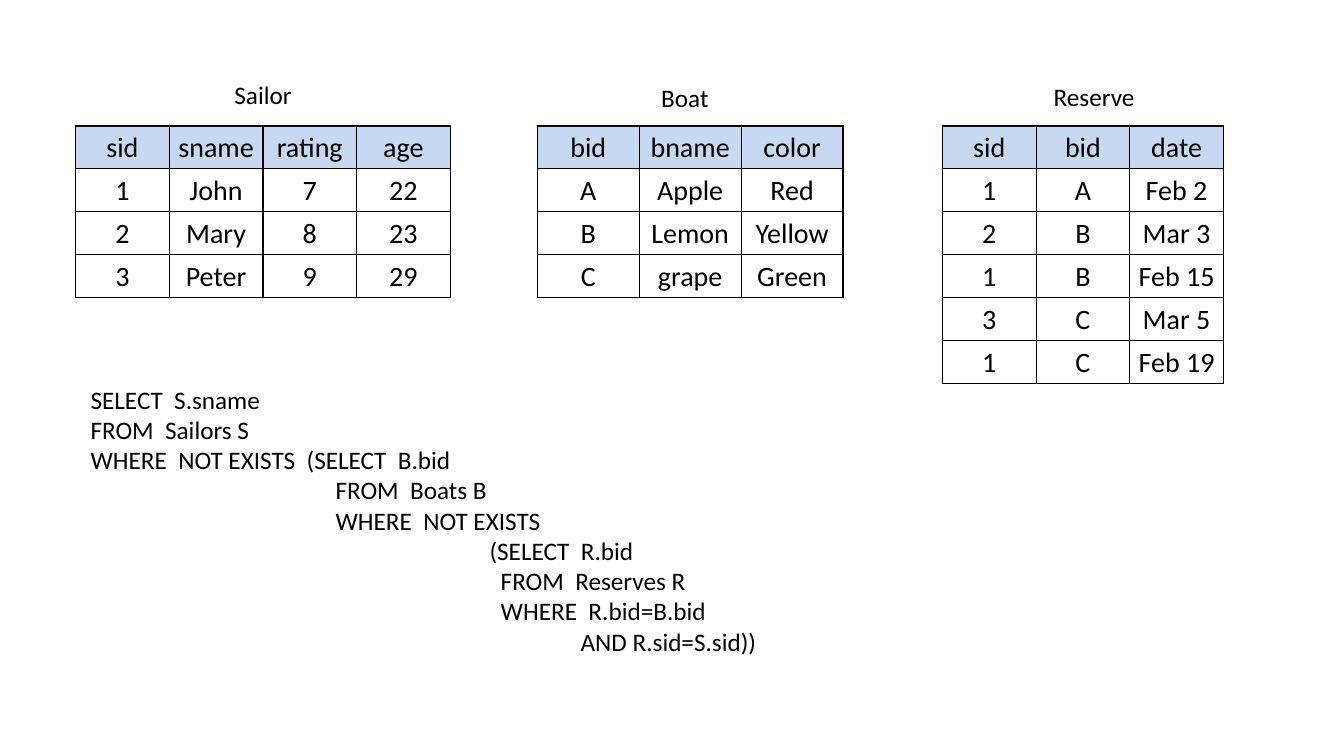
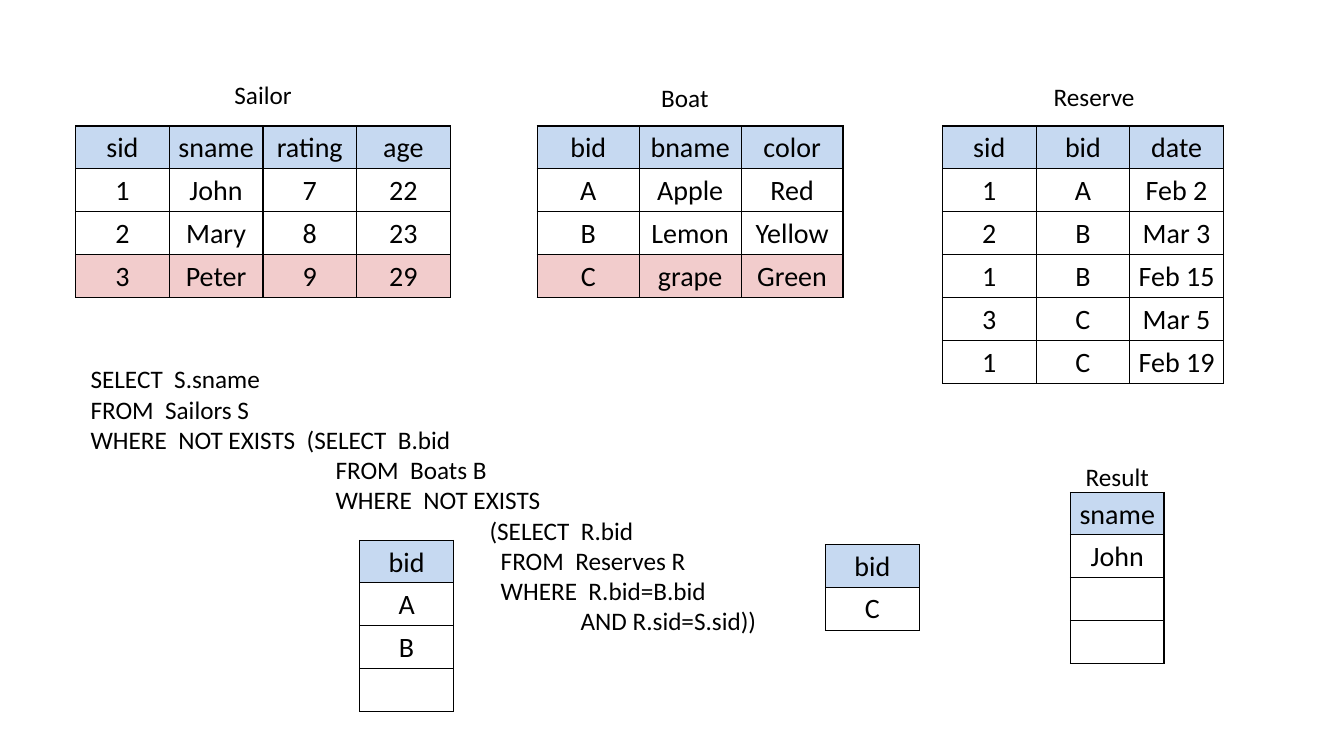
from lxml import etree
from pptx import Presentation
from pptx.dml.color import RGBColor
from pptx.enum.text import PP_ALIGN
from pptx.oxml.ns import qn
from pptx.util import Pt

LEFT, MID = PP_ALIGN.LEFT, PP_ALIGN.CENTER
BLACK = RGBColor(0x00, 0x00, 0x00)
BLUE = RGBColor(0xC6, 0xD9, 0xF1)
RED = RGBColor(0xC0, 0x00, 0x00)
FONT = "Calibri"
TOP, HEAD, ROW, COL = 90, 30.2, 30.7, 66.9

SAILOR = [
    ("sid", "sname", "rating", "age"),
    ("1", "John", "7", "22"),
    ("2", "Mary", "8", "23"),
    ("3", "Peter", "9", "29"),
]
BOAT = [
    ("bid", "bname", "color"),
    ("A", "Apple", "Red"),
    ("B", "Lemon", "Yellow"),
    ("C", "grape", "Green"),
]
RESERVE = [
    ("sid", "bid", "date"),
    ("1", "A", "Feb 2"),
    ("2", "B", "Mar 3"),
    ("1", "B", "Feb 15"),
    ("3", "C", "Mar 5"),
    ("1", "C", "Feb 19"),
]
QUERY = [
    (0, "SELECT  S.sname"),
    (0, "FROM  Sailors S"),
    (0, "WHERE  NOT EXISTS  (SELECT  B.bid"),
    (175, "FROM  Boats B"),
    (175, "WHERE  NOT EXISTS"),
    (285, "(SELECT  R.bid"),
    (293, "FROM  Reserves R"),
    (293, "WHERE  R.bid=B.bid"),
    (350, "AND R.sid=S.sid))"),
]
BASE = [
    (SAILOR, 54, TOP, COL),
    (BOAT, 383.8, TOP, 72.8),
    (RESERVE, 673.2, TOP, COL),
]
EXTRA = [
    ([("bid",), ("C",)], 589.7, 389.2, COL),
    ([("bid",), ("A",), ("B",), ("",)], 257, 386, COL),
    ([("sname",), ("John",), ("",), ("",)], 764.6, 351.8, COL),
]
NAMES = [
    ("Sailor", 159.8, 53.3, 56.2),
    ("Boat", 465.1, 55, 48.2),
    ("Reserve", 745.2, 54.7, 72.7),
]
RESULT = ("Result", 768.2, 326.2, 59.8)
SLIDES = [
    {"tables": BASE, "names": NAMES, "query": 270.7, "marks": {}},
    {"tables": BASE + EXTRA, "names": NAMES + [RESULT], "query": 256.3,
     "marks": {0: 3, 1: 3}},
]


def write(frame, lines, size=18, align=LEFT, space=None, wrap=True):
    frame.word_wrap = wrap
    for num, (indent, text) in enumerate(lines):
        para = frame.add_paragraph() if num else frame.paragraphs[0]
        para.alignment = align
        para.line_spacing = space
        if indent:
            para._p.get_or_add_pPr().set("marL", str(Pt(indent)))
        para.font.size = Pt(size)
        if text:
            run = para.add_run()
            run.text = text
            run.font.name = FONT
            run.font.size = Pt(size)
            run.font.color.rgb = BLACK


def add_box(slide, lines, left, top, width, height, **fmt):
    box = slide.shapes.add_textbox(Pt(left), Pt(top), Pt(width), Pt(height))
    write(box.text_frame, lines, **fmt)


def paint(cell, color, alpha=None):
    props = cell._tc.get_or_add_tcPr()
    if color is None:
        cell.fill.background()
    else:
        cell.fill.solid()
        cell.fill.fore_color.rgb = color
    if alpha:
        tone = props.find(".//" + qn("a:srgbClr"))
        etree.SubElement(tone, qn("a:alpha")).set("val", str(alpha * 1000))
    for num, side in enumerate(("lnL", "lnR", "lnT", "lnB")):
        line = etree.Element(qn("a:" + side), w=str(Pt(1)))
        solid = etree.SubElement(line, qn("a:solidFill"))
        etree.SubElement(solid, qn("a:srgbClr")).set("val", str(BLACK))
        props.insert(num, line)


def add_grid(slide, rows, left, top, width, mark=None):
    count = len(rows[0])
    high = HEAD + ROW * (len(rows) - 1)
    grid = slide.shapes.add_table(len(rows), count, Pt(left), Pt(top),
                                  Pt(width * count), Pt(high)).table
    grid.first_row = grid.horz_banding = False
    for col in grid.columns:
        col.width = Pt(width)
    for r, row in enumerate(rows):
        grid.rows[r].height = Pt(ROW if r else HEAD)
        for c, text in enumerate(row):
            cell = grid.cell(r, c)
            cell.margin_left = cell.margin_right = Pt(5)
            cell.margin_top = cell.margin_bottom = 0
            write(cell.text_frame, [(0, text)], size=20, align=MID, space=1.15)
            if r == mark:
                paint(cell, RED, 20)
            else:
                paint(cell, None if r else BLUE)


def main():
    deck = Presentation()
    deck.slide_width, deck.slide_height = Pt(960), Pt(540)
    for page in SLIDES:
        slide = deck.slides.add_slide(deck.slide_layouts[6])
        for num, table in enumerate(page["tables"]):
            add_grid(slide, *table, mark=page["marks"].get(num))
        add_box(slide, QUERY, 57.6, page["query"], 507.6, 225.4)
        for text, left, top, width in page["names"]:
            add_box(slide, [(0, text)], left, top, width, 29,
                    align=MID, wrap=False)
    deck.save("out.pptx")


if __name__ == "__main__":
    main()
